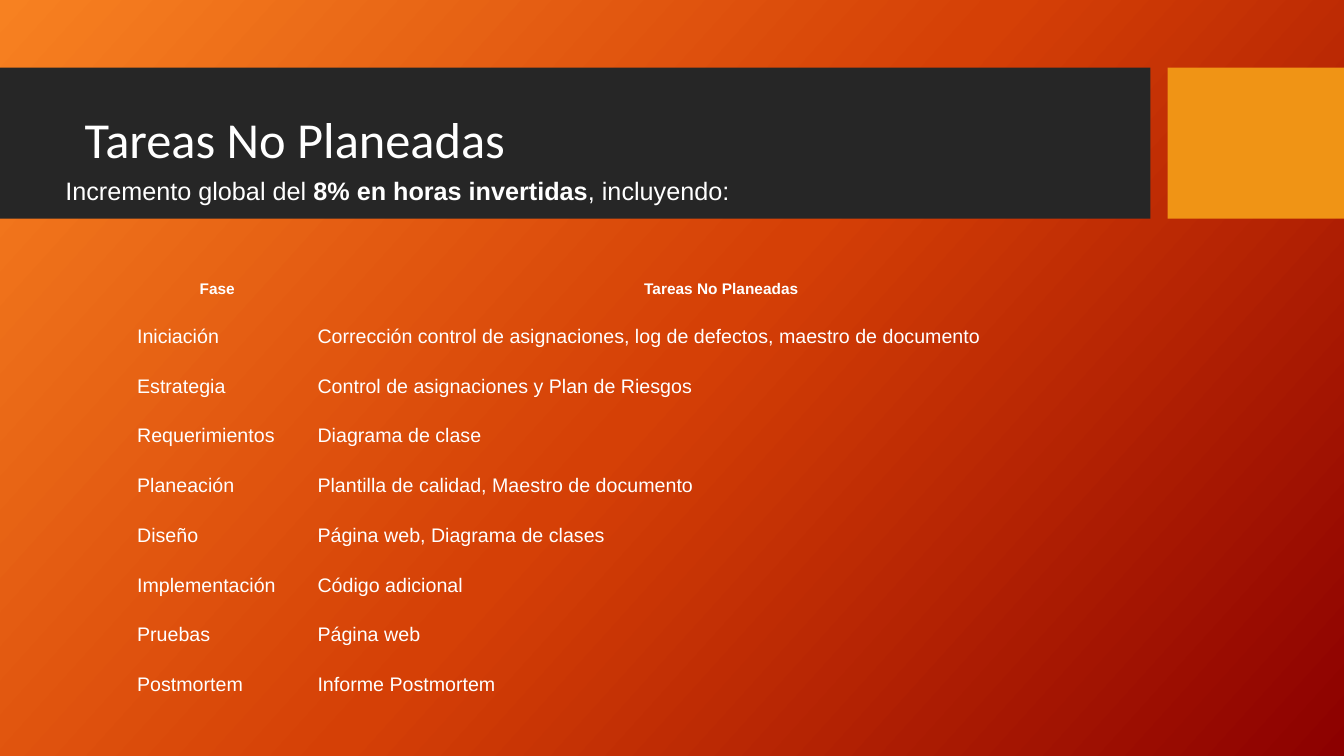
from copy import deepcopy

from pptx import Presentation
from pptx.dml.color import RGBColor
from pptx.enum.shapes import MSO_SHAPE
from pptx.enum.text import MSO_ANCHOR, MSO_AUTO_SIZE, PP_ALIGN
from pptx.oxml.ns import qn
from pptx.util import Inches, Pt

WIDTH, HEIGHT = 13.33, 7.5
BAND_TOP, BAND_HEIGHT = 0.67, 1.5
WHITE, DARK, AMBER = "FFFFFF", "262626", "F09415"
GRADIENT = [(0, "F78121"), (0.5, "D54006"), (1, "8C0000")]
NO_GRID_STYLE = "{2D5ABB26-0587-4C30-8999-92F81FD0307C}"

PHASES = [
    ("Iniciación", "Corrección control de asignaciones, log de defectos, maestro de documento"),
    ("Estrategia", "Control de asignaciones y Plan de Riesgos"),
    ("Requerimientos", "Diagrama de clase"),
    ("Planeación", "Plantilla de calidad, Maestro de documento"),
    ("Diseño", "Página web, Diagrama de clases"),
    ("Implementación", "Código adicional"),
    ("Pruebas", "Página web"),
    ("Postmortem", "Informe Postmortem"),
]


def color(hex_value):
    return RGBColor.from_string(hex_value)


def set_attrs(target, values):
    for name, value in values.items():
        setattr(target, name, value)


def insets(horizontal, vertical):
    return {"margin_left": Inches(horizontal), "margin_right": Inches(horizontal),
            "margin_top": Inches(vertical), "margin_bottom": Inches(vertical)}


def add_run(p, text, size, font="Arial", bold=False):
    r = p.add_run()
    r.text = text
    set_attrs(r.font, {"name": font, "size": Pt(size), "bold": bold})
    r.font.color.rgb = color(WHITE)


def paint_background(s):
    fill = s.background.fill
    fill.gradient()
    fill.gradient_angle = 360 - 42
    last = s.background._cSld.find(".//" + qn("a:gsLst"))[-1]
    last.addnext(deepcopy(last))
    for stop, (position, hex_value) in zip(fill.gradient_stops, GRADIENT):
        stop.position = position
        stop.color.rgb = color(hex_value)


def add_bands(s, top, height):
    """Place the title band and the accent block behind the title."""
    for left, right, hex_value in [(0, 11.41, DARK), (11.58, WIDTH, AMBER)]:
        band = s.shapes.add_shape(MSO_SHAPE.RECTANGLE, Inches(left), Inches(top),
                                  Inches(right - left), Inches(height))
        band.shadow.inherit = False
        band.fill.solid()
        band.fill.fore_color.rgb = color(hex_value)
        band.line.fill.background()
        s.shapes.title._element.addprevious(band._element)


def add_heading(s, left, top, width, height):
    title = s.shapes.title
    set_attrs(title, {"left": Inches(left), "top": Inches(top),
                      "width": Inches(width), "height": Inches(height)})
    tf = title.text_frame
    set_attrs(tf, {"word_wrap": True, "auto_size": MSO_AUTO_SIZE.NONE,
                   "vertical_anchor": MSO_ANCHOR.MIDDLE, **insets(0.1, 0.05)})
    p = tf.paragraphs[0]
    set_attrs(p, {"alignment": PP_ALIGN.LEFT, "line_spacing": 0.9})
    add_run(p, "Tareas No Planeadas", 36, "Calibri")


def add_summary(s, left, top, width, height):
    box = s.shapes.add_textbox(Inches(left), Inches(top), Inches(width), Inches(height))
    tf = box.text_frame
    set_attrs(tf, {"word_wrap": True, "auto_size": MSO_AUTO_SIZE.SHAPE_TO_FIT_TEXT,
                   **insets(0.1, 0.1)})
    p = tf.paragraphs[0]
    add_run(p, "Incremento global del ", 18)
    add_run(p, "8% en horas invertidas", 18, bold=True)
    add_run(p, ", incluyendo:", 18)


def add_phase_table(s, left, top, width, height):
    rows = [("Fase", "Tareas No Planeadas"), *PHASES]
    table = s.shapes.add_table(len(rows), 2, Inches(left), Inches(top),
                               Inches(width), Inches(height)).table
    set_attrs(table, {"first_row": False, "horz_banding": False})
    table._tbl.tblPr.find(qn("a:tableStyleId")).text = NO_GRID_STYLE
    phase_width, header_height = 1.79, 0.47
    table.columns[0].width = Inches(phase_width)
    table.columns[1].width = Inches(width - phase_width)
    row_height = (height - header_height) / len(PHASES)
    for i, texts in enumerate(rows):
        header = i == 0
        table.rows[i].height = Inches(header_height if header else row_height)
        for cell, text in zip(table.rows[i].cells, texts):
            cell.fill.background()
            set_attrs(cell, insets(0.1, 0.1))
            p = cell.text_frame.paragraphs[0]
            if header:
                set_attrs(p, {"alignment": PP_ALIGN.CENTER, "line_spacing": 1.15})
            add_run(p, text, 11 if header else 14, bold=header)


def main():
    prs = Presentation()
    set_attrs(prs, {"slide_width": Inches(WIDTH), "slide_height": Inches(HEIGHT)})
    s = prs.slides.add_slide(prs.slide_layouts[5])
    paint_background(s)
    add_bands(s, BAND_TOP, BAND_HEIGHT)
    add_heading(s, 0.74, BAND_TOP + 0.15, 10.51, 1.18)
    add_summary(s, 0.55, BAND_TOP + 0.97, 7.23, 0.5)
    add_phase_table(s, 1.26, 2.66, 10, 4.42)
    prs.save("out.pptx")


if __name__ == "__main__":
    main()
